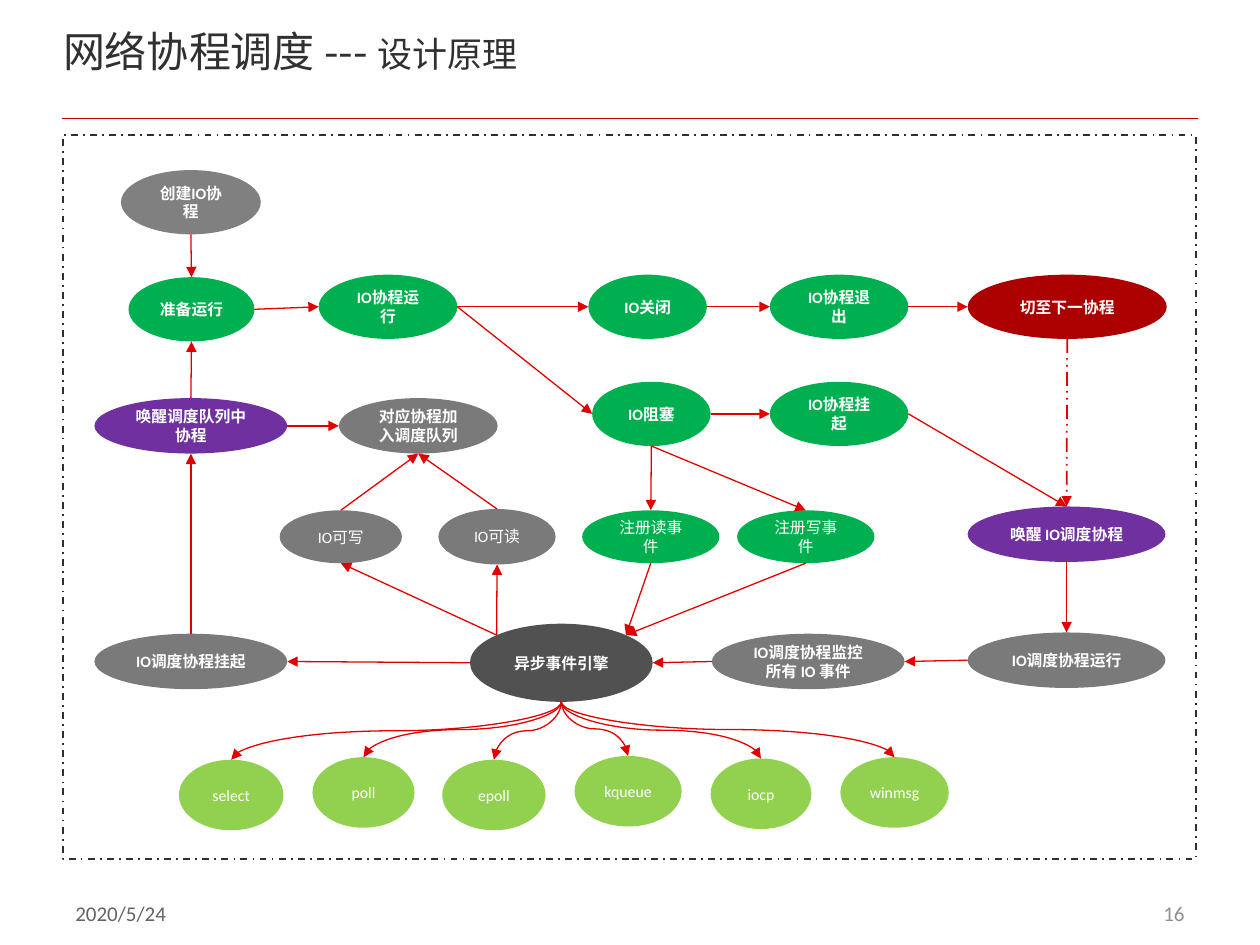
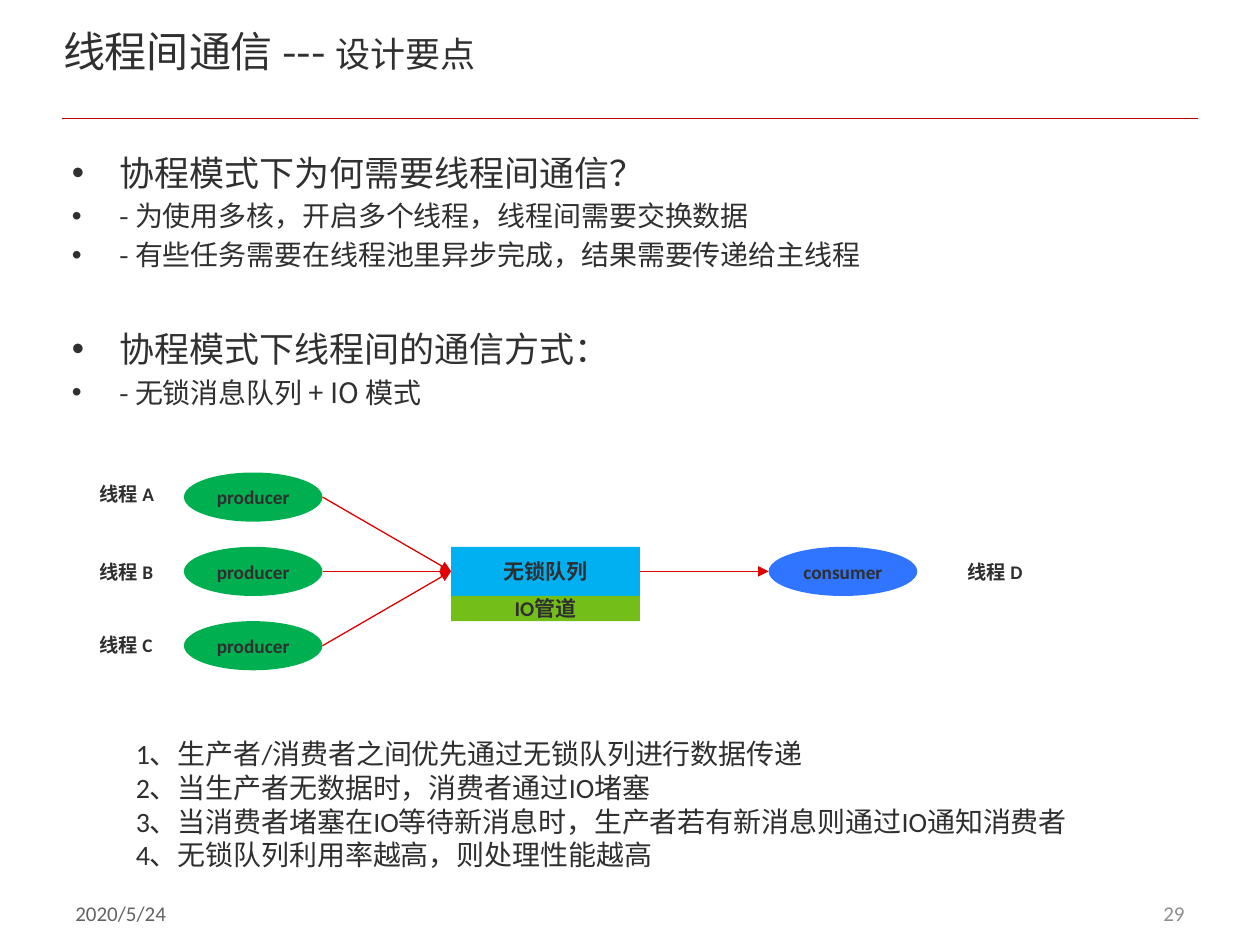
from dataclasses import dataclass

from lxml.etree import SubElement
from pptx import Presentation
from pptx.dml.color import RGBColor
from pptx.enum.dml import MSO_LINE
from pptx.enum.shapes import MSO_CONNECTOR, MSO_SHAPE
from pptx.enum.text import MSO_ANCHOR, MSO_AUTO_SIZE, PP_ALIGN
from pptx.oxml.ns import qn
from pptx.util import Inches, Pt

COLORS = {
    "white": "FFFFFF", "rule": "C00000", "arrow": "E10000", "title": "303030",
    "ink": "2F2F2F", "date": "636363", "number": "8F8F8F",
    "engine": "515151", "gray": "7A7A7A", "start": "808080",
    "green": "00B050", "lime": "92D050", "purple": "7030A0", "red": "AC0000",
    "queue": "00B0F0", "pipe": "74BE1A", "consumer": "3075FF",
}
LATIN = "Calibri"
CHINESE = "Noto Sans CJK SC"
LINE_HEIGHT = 1.2
SITES = {
    "top": (0.5, 0), "bottom": (0.5, 1), "left": (0, 0.5), "right": (1, 0.5),
    "top left": (0.146, 0.146), "top right": (0.854, 0.146),
}


@dataclass(frozen=True)
class Node:
    """A filled shape with a centred caption; lengths in inches."""
    text: str
    left: float
    top: float
    width: float
    height: float
    fill: str
    bold: bool = True
    size: float = 9
    color: str = "white"
    shape: MSO_SHAPE = MSO_SHAPE.OVAL

    def site(self, name: str) -> tuple:
        """Return the point where a link meets the outline."""
        across, down = SITES[name]
        return self.left + across * self.width, self.top + down * self.height


@dataclass(frozen=True)
class Link:
    """An arrow from a site of one node to a site of another."""
    start: str
    start_site: str
    end: str
    end_site: str
    dash: MSO_LINE | None = None


def rgb(name: str) -> RGBColor:
    """Look up a named colour."""
    return RGBColor.from_string(COLORS[name])


def apply(target, values: dict) -> None:
    """Set each named attribute of the target."""
    for name, value in values.items():
        setattr(target, name, value)


def add_span(para, text: str, size: float, color: str, bold=False, name=LATIN) -> None:
    """Add a formatted run to a paragraph."""
    span = para.add_run()
    span.text = text
    apply(span.font, {"size": Pt(size), "bold": bold, "name": name})
    span.font.color.rgb = rgb(color)
    if name == CHINESE:
        SubElement(span.font._element, qn("a:ea"), typeface=name)


def place(shape, left: float, top: float, width: float, height: float) -> None:
    """Move and size a shape in inches."""
    apply(shape, {"left": Inches(left), "top": Inches(top),
                  "width": Inches(width), "height": Inches(height)})


def add_text(page, area: tuple, lines: list, size: float, color: str, bold=False,
             align=PP_ALIGN.LEFT, anchor=MSO_ANCHOR.TOP) -> None:
    """Add a wrapping text box with one paragraph per line."""
    frame = page.shapes.add_textbox(*map(Inches, area)).text_frame
    apply(frame, {"word_wrap": True, "vertical_anchor": anchor})
    for index, line in enumerate(lines):
        para = frame.add_paragraph() if index else frame.paragraphs[0]
        apply(para, {"alignment": align, "line_spacing": Pt(size * LINE_HEIGHT)})
        add_span(para, line, size, color, bold)


def add_line(page, start: tuple, end: tuple, color="arrow", width=0.75,
             kind=MSO_CONNECTOR.STRAIGHT, dash=None, arrow=True):
    """Add a connector without shadow, by default an arrow."""
    line = page.shapes.add_connector(kind, *map(Inches, (*start, *end)))
    line.line.color.rgb = rgb(color)
    line.line.width = Pt(width)
    if dash:
        line.line.dash_style = dash
    properties = line._element.spPr
    if arrow:
        SubElement(properties.find(qn("a:ln")), qn("a:tailEnd"), type="triangle")
    SubElement(properties, qn("a:effectLst"))
    return line


def add_drop_curve(page, start: tuple, end: tuple) -> None:
    """Add a curved arrow that leaves and arrives vertically."""
    middle_x, middle_y = (start[0] + end[0]) / 2, (start[1] + end[1]) / 2
    half_drop, half_span = (end[1] - start[1]) / 2, abs(end[0] - start[0]) / 2
    to_left = end[0] < start[0]
    if not to_left:
        half_drop = -half_drop
    curve = add_line(page, (middle_x - half_drop, middle_y - half_span),
                     (middle_x + half_drop, middle_y + half_span),
                     kind=MSO_CONNECTOR.CURVE)
    angle = 90 if to_left else 270
    curve._element.spPr.find(qn("a:xfrm")).set("rot", str(angle * 60000))


def add_node(page, node: Node) -> None:
    """Draw a node."""
    shape = page.shapes.add_shape(
        node.shape, *map(Inches, (node.left, node.top, node.width, node.height)))
    shape.shadow.inherit = False
    shape.fill.solid()
    shape.fill.fore_color.rgb = rgb(node.fill)
    shape.line.fill.background()
    para = shape.text_frame.paragraphs[0]
    apply(para, {"alignment": PP_ALIGN.CENTER, "line_spacing": Pt(node.size * LINE_HEIGHT)})
    add_span(para, node.text, node.size, node.color, node.bold)


def add_diagram(page, nodes: dict, links: list) -> None:
    """Draw the nodes and then the arrows between them."""
    for node in nodes.values():
        add_node(page, node)
    for link in links:
        add_line(page, nodes[link.start].site(link.start_site),
                 nodes[link.end].site(link.end_site),
                 width=1 if link.dash else 0.75, dash=link.dash)


def add_page(deck, layout: int, topic: str, subtopic: str, number: int):
    """Add a slide with title, rule, date and page number."""
    page = deck.slides.add_slide(deck.slide_layouts[layout])
    title = page.shapes.title
    place(title, 0.5, 0.2, 7.73, 0.7)
    frame = title.text_frame
    apply(frame, {"margin_left": 0, "margin_top": 0, "margin_right": 0, "margin_bottom": 0,
                  "vertical_anchor": MSO_ANCHOR.TOP, "auto_size": MSO_AUTO_SIZE.NONE})
    para = frame.paragraphs[0]
    apply(para, {"alignment": PP_ALIGN.LEFT, "line_spacing": Pt(24 * LINE_HEIGHT)})
    add_span(para, f"{topic} --- ", 24, "title", name=CHINESE)
    add_span(para, subtopic, 20, "title", name=CHINESE)
    add_line(page, (0.49, 0.94), (9.51, 0.94), "rule", 1, arrow=False)
    add_text(page, (0.5, 6.98, 2.33, 0.53), ["2020/5/24"], 12, "date",
             anchor=MSO_ANCHOR.MIDDLE)
    add_text(page, (7.17, 6.98, 2.33, 0.53), [str(number)], 12, "number",
             align=PP_ALIGN.RIGHT, anchor=MSO_ANCHOR.MIDDLE)
    return page


def build_scheduling(deck) -> None:
    """Build the flow of network coroutine scheduling."""
    page = add_page(deck, 5, "网络协程调度", "设计原理", 16)
    border = page.shapes.add_shape(
        MSO_SHAPE.RECTANGLE, *map(Inches, (0.5, 1.07, 8.99, 5.75)))
    border.shadow.inherit = False
    border.fill.background()
    border.line.color.rgb = rgb("ink")
    apply(border.line, {"width": Pt(1), "dash_style": MSO_LINE.DASH_DOT})

    nodes = {
        "create": Node("创建IO协程", 0.96, 1.35, 1.11, 0.51, "start"),
        "ready": Node("准备运行", 1.02, 2.2, 1, 0.51, "green"),
        "run": Node("IO协程运行", 2.53, 2.18, 1.1, 0.51, "green"),
        "close": Node("IO关闭", 4.67, 2.18, 0.94, 0.51, "green"),
        "exit": Node("IO协程退出", 6.11, 2.18, 1.1, 0.51, "green"),
        "next": Node("切至下一协程", 7.68, 2.18, 1.58, 0.51, "red"),
        "block": Node("IO阻塞", 4.7, 3.03, 0.94, 0.51, "green"),
        "suspend": Node("IO协程挂起", 6.11, 3.03, 1.1, 0.51, "green"),
        "wake queue": Node("唤醒调度队列中协程", 0.75, 3.16, 1.53, 0.44, "purple"),
        "enqueue": Node("对应协程加入调度队列", 2.69, 3.16, 1.26, 0.44, "gray"),
        "writable": Node("IO可写", 2.22, 4.05, 0.97, 0.42, "gray", False),
        "readable": Node("IO可读", 3.48, 4.04, 0.93, 0.44, "gray", False),
        "add read": Node("注册读事件", 4.62, 4.05, 1.09, 0.42, "green", False),
        "add write": Node("注册写事件", 5.85, 4.05, 1.09, 0.42, "green", False),
        "wake": Node("唤醒 IO调度协程", 7.68, 4.02, 1.57, 0.44, "purple"),
        "park": Node("IO调度协程挂起", 0.75, 5.03, 1.53, 0.44, "gray"),
        "engine": Node("异步事件引擎", 3.73, 4.95, 1.45, 0.62, "engine"),
        "monitor": Node("IO调度协程监控所有 IO 事件", 5.65, 5.03, 1.53, 0.44, "gray"),
        "scheduler": Node("IO调度协程运行", 7.68, 5.02, 1.57, 0.44, "gray"),
    }
    links = [
        Link("create", "bottom", "ready", "top"),
        Link("ready", "right", "run", "left"),
        Link("run", "right", "close", "left"),
        Link("run", "right", "block", "left"),
        Link("close", "right", "exit", "left"),
        Link("exit", "right", "next", "left"),
        Link("next", "bottom", "wake", "top", MSO_LINE.DASH_DOT_DOT),
        Link("block", "right", "suspend", "left"),
        Link("block", "bottom", "add read", "top"),
        Link("block", "bottom", "add write", "top"),
        Link("suspend", "right", "wake", "top"),
        Link("wake", "bottom", "scheduler", "top"),
        Link("scheduler", "left", "monitor", "right"),
        Link("monitor", "left", "engine", "right"),
        Link("add read", "bottom", "engine", "top right"),
        Link("add write", "bottom", "engine", "top right"),
        Link("engine", "top left", "writable", "bottom"),
        Link("engine", "top left", "readable", "bottom"),
        Link("engine", "left", "park", "right"),
        Link("writable", "top", "enqueue", "bottom"),
        Link("readable", "top", "enqueue", "bottom"),
        Link("park", "top", "wake queue", "bottom"),
        Link("wake queue", "top", "ready", "bottom"),
        Link("wake queue", "right", "enqueue", "left"),
    ]
    add_diagram(page, nodes, links)

    backends = [
        ("select", 1.42, 6.03, 0.83), ("poll", 2.48, 6.01, 0.81),
        ("epoll", 3.51, 6.03, 0.82), ("kqueue", 4.56, 6, 0.85),
        ("iocp", 5.64, 6.02, 0.8), ("winmsg", 6.67, 6.01, 0.86),
    ]
    for text, left, top, width in backends:
        backend = Node(text, left, top, width, 0.56, "lime", False)
        add_node(page, backend)
        add_drop_curve(page, nodes["engine"].site("bottom"), backend.site("top"))


def build_messaging(deck) -> None:
    """Build the points and diagram of messaging between threads."""
    page = add_page(deck, 1, "线程间通信", "设计要点", 29)
    body = page.placeholders[1]
    place(body, 0.47, 1.15, 9, 2.6)
    frame = body.text_frame
    frame.auto_size = MSO_AUTO_SIZE.NONE
    points = [
        ("协程模式下为何需要线程间通信？", 20, 4),
        ("- 为使用多核，开启多个线程，线程间需要交换数据", 16, 3.2),
        ("- 有些任务需要在线程池里异步完成，结果需要传递给主线程", 16, 3.2),
        ("协程模式下线程间的通信方式：", 20, 32),
        ("- 无锁消息队列 + IO 模式", 16, 3.2),
    ]
    for index, (text, size, gap) in enumerate(points):
        para = frame.add_paragraph() if index else frame.paragraphs[0]
        apply(para, {"space_before": Pt(gap), "line_spacing": Pt(size * LINE_HEIGHT)})
        add_span(para, text, size, "title", name=CHINESE)

    label = {"size": 11, "color": "ink"}
    block = {"size": 12, "color": "ink", "shape": MSO_SHAPE.RECTANGLE}
    producers = {
        f"producer {row}": Node("producer", 1.46, 3.75 + 0.59 * row, 1.1, 0.39, "green", **label)
        for row in range(3)
    }
    nodes = producers | {
        "queue": Node("无锁队列", 3.58, 4.34, 1.5, 0.39, "queue", **block),
        "pipe": Node("IO管道", 3.58, 4.73, 1.5, 0.2, "pipe", **block),
        "consumer": Node("consumer", 6.1, 4.34, 1.18, 0.39, "consumer", **label),
    }
    links = [Link(name, "right", "queue", "left") for name in producers]
    add_diagram(page, nodes, links + [Link("queue", "right", "consumer", "left")])

    threads = [("A", 0.69, 3.78), ("B", 0.69, 4.4), ("C", 0.69, 4.98), ("D", 7.58, 4.4)]
    for letter, left, top in threads:
        add_text(page, (left, top, 0.79, 0.29), [f"线程 {letter}"], 11, "ink", bold=True)
    add_text(page, (0.98, 5.8, 8.03, 1.18), [
        "1、生产者/消费者之间优先通过无锁队列进行数据传递",
        "2、当生产者无数据时，消费者通过IO堵塞",
        "3、当消费者堵塞在IO等待新消息时，生产者若有新消息则通过IO通知消费者",
        "4、无锁队列利用率越高，则处理性能越高",
    ], 16, "ink")


def main() -> None:
    """Build and save the deck."""
    deck = Presentation()
    apply(deck, {"slide_width": Inches(10), "slide_height": Inches(7.5)})
    build_scheduling(deck)
    build_messaging(deck)
    deck.save("out.pptx")


main()
